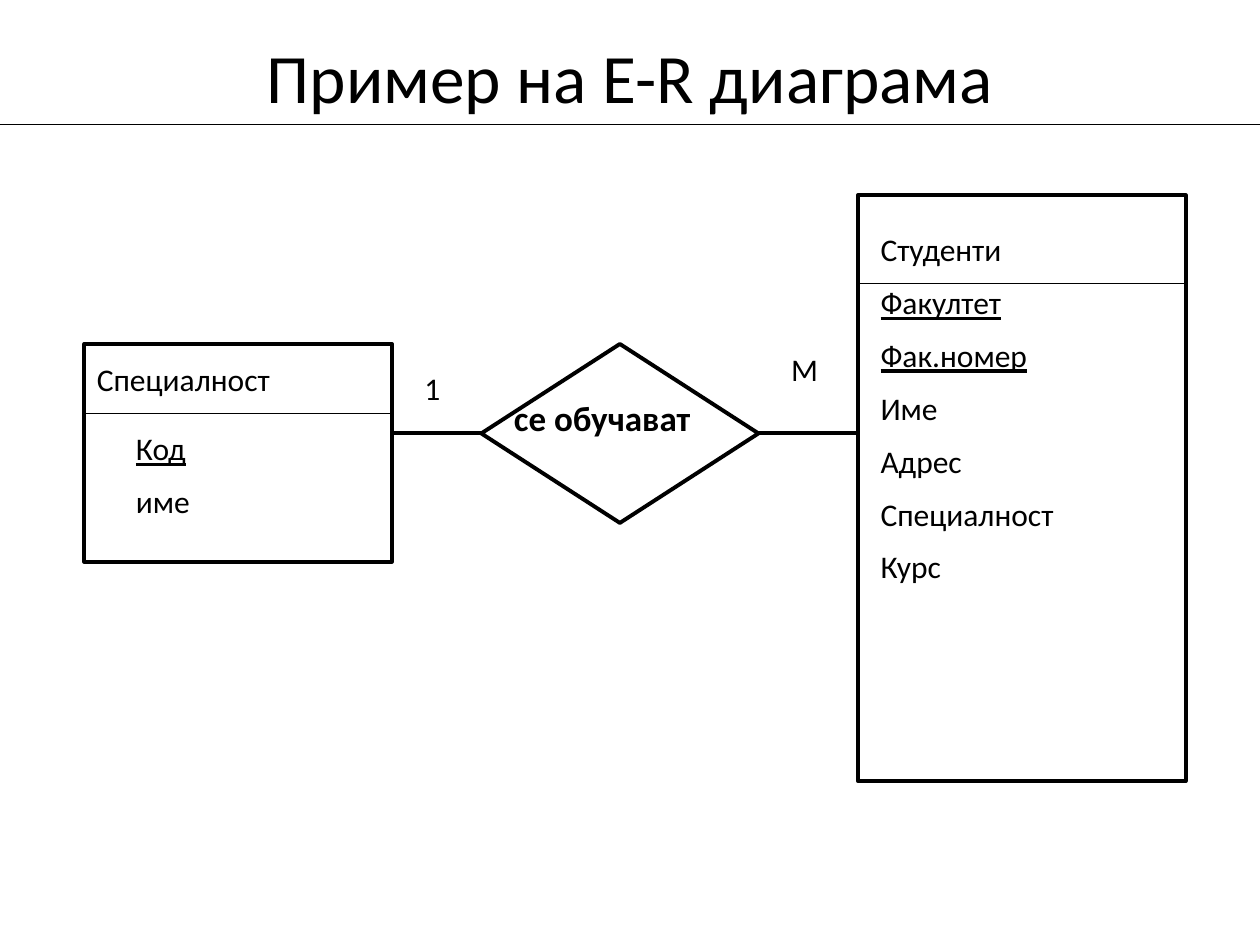
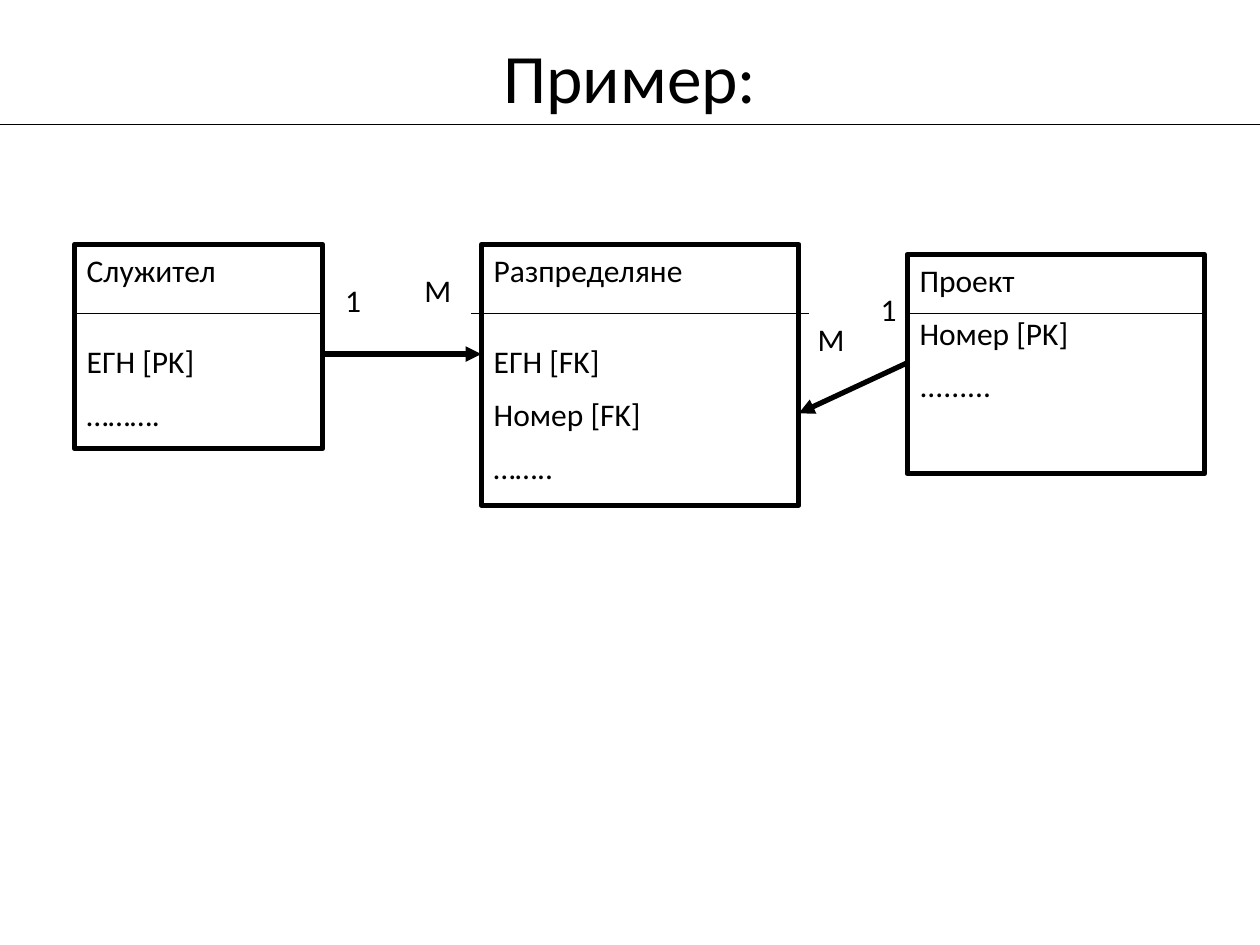
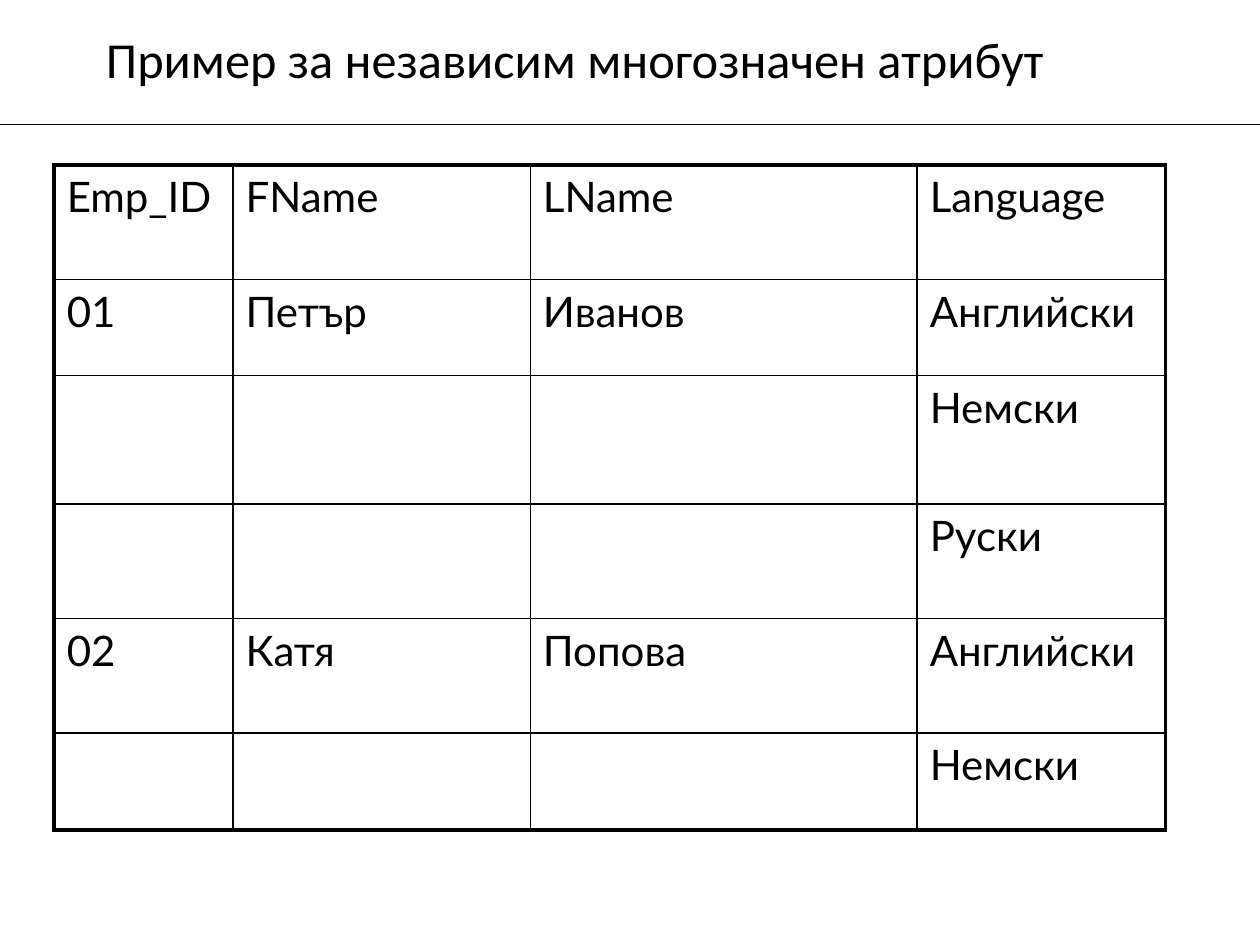
from dataclasses import dataclass

from lxml.etree import SubElement
from pptx import Presentation
from pptx.dml.color import RGBColor
from pptx.enum.shapes import MSO_CONNECTOR, MSO_SHAPE
from pptx.enum.text import MSO_ANCHOR, MSO_AUTO_SIZE, PP_ALIGN
from pptx.oxml.ns import qn
from pptx.shapes.base import BaseShape
from pptx.slide import Slide
from pptx.table import _Cell
from pptx.text.text import TextFrame
from pptx.util import Inches, Pt

BLACK = "000000"
FONT = "Calibri"
TABLE_FONT = "Lato"
THIN, MEDIUM, THICK = 0.75, 2.25, 3
PARAGRAPH_GAP = 8.6
HEADING_GAP = 30.6


@dataclass
class Frame:
    left: float
    top: float
    width: float
    height: float


@dataclass
class Paragraph:
    text: str
    underline: bool = False
    space_before: float = PARAGRAPH_GAP


@dataclass
class Label:
    frame: Frame
    paragraphs: list[Paragraph]
    size: float = 18
    bold: bool = False


@dataclass
class Outline:
    frame: Frame
    shape: MSO_SHAPE = MSO_SHAPE.RECTANGLE
    weight: float = MEDIUM
    paragraphs: list[Paragraph] | None = None


@dataclass
class Line:
    start: tuple[float, float]
    end: tuple[float, float]
    weight: float = THIN
    arrow: bool = False


def color(value: str) -> RGBColor:
    return RGBColor.from_string(value)


def place(shape: BaseShape, frame: Frame) -> None:
    shape.left, shape.top = Inches(frame.left), Inches(frame.top)
    shape.width, shape.height = Inches(frame.width), Inches(frame.height)


def inches(frame: Frame) -> list[Inches]:
    return [Inches(value) for value in (frame.left, frame.top, frame.width, frame.height)]


def write(text_frame: TextFrame, paragraphs: list[Paragraph], size: float,
          font: str = FONT, bold: bool = False, align: PP_ALIGN = PP_ALIGN.LEFT) -> None:
    text_frame.text = "\n".join(paragraph.text for paragraph in paragraphs)
    text_frame.word_wrap = True
    for target, paragraph in zip(text_frame.paragraphs, paragraphs):
        target.alignment = align
        target.space_before = Pt(paragraph.space_before)
        for span in target.runs:
            span.font.name = font
            span.font.size = Pt(size)
            span.font.bold = bold
            span.font.underline = paragraph.underline
            span.font.color.rgb = color(BLACK)


def draw_line(page: Slide, line: Line) -> None:
    ends = [Inches(value) for value in (*line.start, *line.end)]
    connector = page.shapes.add_connector(MSO_CONNECTOR.STRAIGHT, *ends)
    connector.line.color.rgb = color(BLACK)
    connector.line.width = Pt(line.weight)
    if line.arrow:
        SubElement(connector.line._get_or_add_ln(), qn("a:tailEnd"), type="triangle")
    SubElement(connector._element.spPr, qn("a:effectLst"))


def draw_outline(page: Slide, outline: Outline) -> None:
    box = page.shapes.add_shape(outline.shape, *inches(outline.frame))
    box.shadow.inherit = False
    box.fill.background()
    box.line.color.rgb = color(BLACK)
    box.line.width = Pt(outline.weight)
    if outline.paragraphs:
        write(box.text_frame, outline.paragraphs, 18)
        box.text_frame.vertical_anchor = MSO_ANCHOR.TOP


def draw_label(page: Slide, label: Label) -> None:
    box = page.shapes.add_textbox(*inches(label.frame))
    write(box.text_frame, label.paragraphs, label.size, bold=label.bold)


def add_page(deck: Presentation, title: str, frame: Frame = Frame(0.5, 0.3, 9, 0.61),
             size: float = 39.6) -> Slide:
    page = deck.slides.add_slide(deck.slide_layouts[5])
    place(page.shapes.title, frame)
    text_frame = page.shapes.title.text_frame
    write(text_frame, [Paragraph(title, space_before=0)], size, align=PP_ALIGN.CENTER)
    text_frame.vertical_anchor = MSO_ANCHOR.MIDDLE
    text_frame.auto_size = MSO_AUTO_SIZE.NONE
    draw_line(page, Line((0, 0.99), (10, 0.99)))
    return page


def draw_diagram(page: Slide, outlines: list[Outline], lines: list[Line],
                 labels: list[Label]) -> None:
    for outline in outlines:
        draw_outline(page, outline)
    for line in lines:
        draw_line(page, line)
    for label in labels:
        draw_label(page, label)


def add_relationship_page(deck: Presentation) -> None:
    page = add_page(deck, "Пример на E-R диаграма")
    outlines = [
        Outline(Frame(0.67, 2.73, 2.44, 1.73)),
        Outline(Frame(3.82, 2.73, 2.2, 1.42), MSO_SHAPE.DIAMOND),
        Outline(Frame(6.81, 1.55, 2.6, 4.65)),
    ]
    lines = [
        Line((0.67, 3.28), (3.11, 3.28)),
        Line((6.81, 2.25), (9.41, 2.25)),
        Line((3.11, 3.44), (3.82, 3.44), MEDIUM),
        Line((6.02, 3.44), (6.81, 3.44), MEDIUM),
    ]
    student = [Paragraph("Студенти"), Paragraph("Факултет", True), Paragraph("Фак.номер", True)]
    student += [Paragraph(name) for name in ("Име", "Адрес", "Специалност", "Курс")]
    labels = [
        Label(Frame(0.67, 2.81, 2.29, 0.5), [Paragraph("Специалност")]),
        Label(Frame(0.98, 3.36, 1.81, 1.1), [Paragraph("Код", True), Paragraph("име")]),
        Label(Frame(6.89, 1.78, 2.44, 4.09), student),
        Label(Frame(3.98, 3.1, 1.92, 0.43), [Paragraph("се обучават")], 20, True),
        Label(Frame(3.27, 2.88, 0.24, 0.5), [Paragraph("1")]),
        Label(Frame(6.18, 2.73, 0.47, 0.5), [Paragraph("M")]),
    ]
    draw_diagram(page, outlines, lines, labels)


def add_keys_page(deck: Presentation) -> None:
    page = add_page(deck, "Пример:")
    employee = [Paragraph("Служител"), Paragraph("ЕГН [PK]", space_before=HEADING_GAP),
                Paragraph("……….")]
    assignment = [Paragraph("Разпределяне"), Paragraph("ЕГН [FK]", space_before=HEADING_GAP),
                  Paragraph("Номер [FK]"), Paragraph("……..")]
    project = [Paragraph("Проект"), Paragraph("Номер [PK]"), Paragraph(".........")]
    outlines = [
        Outline(Frame(0.59, 1.94, 1.97, 1.62), weight=THICK, paragraphs=employee),
        Outline(Frame(3.82, 1.94, 2.52, 2.07), weight=THICK, paragraphs=assignment),
        Outline(Frame(7.2, 2.02, 2.36, 1.74), weight=THICK, paragraphs=project),
    ]
    dividers = [(0.59, 2.56), (3.74, 6.42), (7.2, 9.57)]
    lines = [Line((left, 2.49), (right, 2.49)) for left, right in dividers]
    lines += [
        Line((2.56, 2.81), (3.82, 2.81), THICK, True),
        Line((7.2, 2.88), (6.34, 3.28), THICK, True),
    ]
    labels = [
        Label(Frame(2.64, 2.18, 0.38, 0.5), [Paragraph("1")]),
        Label(Frame(3.27, 2.1, 0.46, 0.5), [Paragraph("М")]),
        Label(Frame(6.89, 2.25, 0.38, 0.5), [Paragraph("1")]),
        Label(Frame(6.39, 2.49, 0.34, 0.5), [Paragraph("М")]),
    ]
    draw_diagram(page, outlines, lines, labels)


def set_borders(cell: _Cell, outer_sides: dict[str, bool]) -> None:
    properties = cell._tc.get_or_add_tcPr()
    for side, outer in outer_sides.items():
        border = SubElement(properties, qn(f"a:ln{side}"), w=str(Pt(MEDIUM if outer else 1)))
        fill = SubElement(border, qn("a:solidFill"))
        SubElement(fill, qn("a:srgbClr"), val=BLACK)


def add_language_page(deck: Presentation) -> None:
    page = add_page(deck, "Пример за независим многозначен атрибут",
                    Frame(0.43, 0, 8.27, 0.92), 28.8)
    rows = [
        ("Emp_ID", "FName", "LName", "Language"),
        ("01", "Петър", "Иванов", "Английски"),
        ("", "", "", "Немски"),
        ("", "", "", "Руски"),
        ("02", "Катя", "Попова", "Английски"),
        ("", "", "", "Немски"),
    ]
    widths = [1.42, 2.36, 3.07, 1.97]
    heights = [0.91, 0.76, 1.02, 0.91, 0.91, 0.77]
    frame = Frame(0.43, 1.31, sum(widths), sum(heights))
    table = page.shapes.add_table(len(rows), len(widths), *inches(frame)).table
    table.first_row = table.horz_banding = False
    for column, width in zip(table.columns, widths):
        column.width = Inches(width)
    for row, height in zip(table.rows, heights):
        row.height = Inches(height)
    for row_index, values in enumerate(rows):
        for column_index, value in enumerate(values):
            cell = table.cell(row_index, column_index)
            set_borders(cell, {
                "L": column_index == 0,
                "R": column_index == len(widths) - 1,
                "T": row_index == 0,
                "B": row_index == len(rows) - 1,
            })
            cell.fill.background()
            if value:
                write(cell.text_frame, [Paragraph(value, space_before=0)], 24, TABLE_FONT)


def main() -> None:
    deck = Presentation()
    deck.slide_width, deck.slide_height = Inches(10), Inches(7.5)
    add_relationship_page(deck)
    add_keys_page(deck)
    add_language_page(deck)
    deck.save("out.pptx")


if __name__ == "__main__":
    main()
